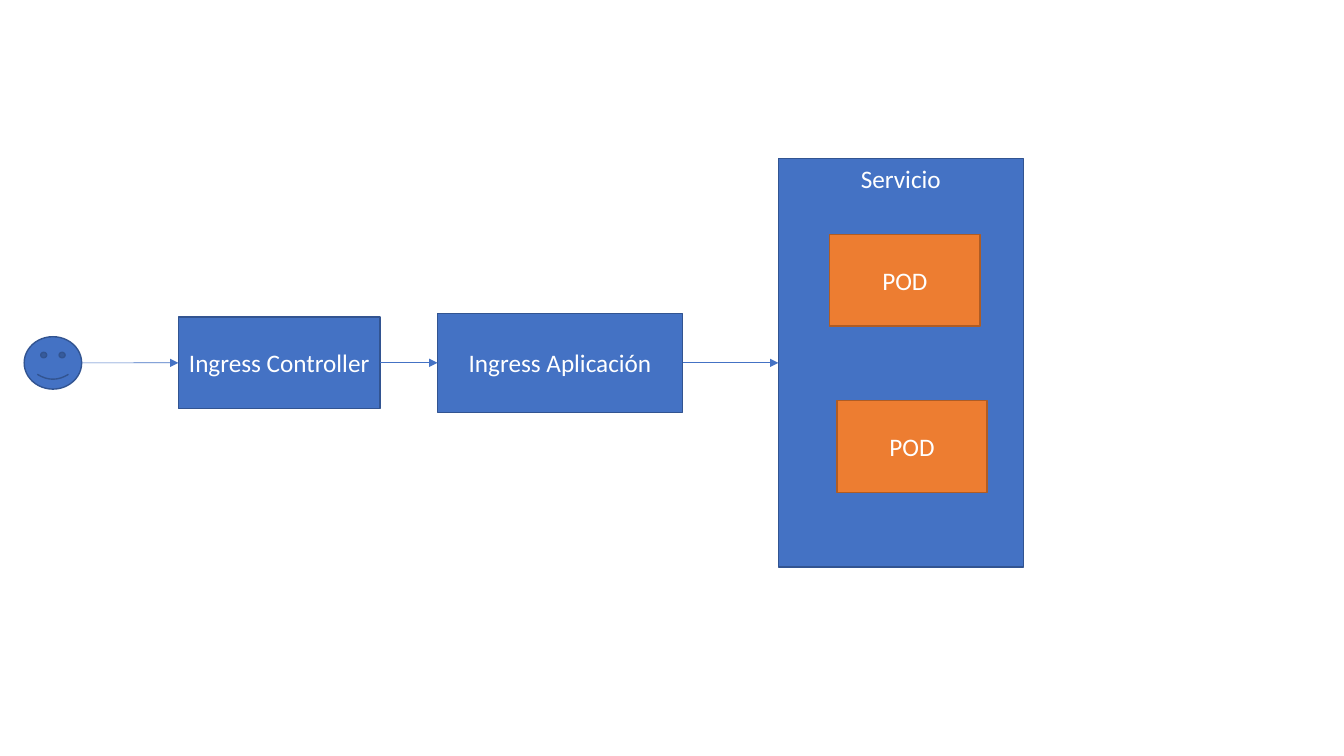
"""Build the ingress-to-pods request flow slide."""
from dataclasses import dataclass

from lxml import etree
from pptx import Presentation
from pptx.dml.color import RGBColor
from pptx.enum.shapes import MSO_CONNECTOR, MSO_SHAPE
from pptx.enum.text import MSO_ANCHOR, PP_ALIGN
from pptx.oxml.ns import qn
from pptx.util import Inches, Pt

RECTANGLE = MSO_SHAPE.RECTANGLE
SMILEY = MSO_SHAPE.SMILEY_FACE
STRAIGHT = MSO_CONNECTOR.STRAIGHT
MIDDLE, TOP = MSO_ANCHOR.MIDDLE, MSO_ANCHOR.TOP
CENTER = PP_ALIGN.CENTER
LEFT_SITE, RIGHT_SITE, SMILEY_RIGHT_SITE = 1, 3, 6
BLANK_LAYOUT = 6

SLIDE_WIDTH, SLIDE_HEIGHT = 13.33, 7.5
FLOW_AXIS = 0.48 * SLIDE_HEIGHT


@dataclass(frozen=True)
class Theme:
    """Colours, font and sizes of the slide."""
    blue: str = "4472C4"
    blue_edge: str = "325491"
    orange: str = "ED7D31"
    orange_edge: str = "AF5C24"
    text: str = "FFFFFF"
    font: str = "Calibri"
    text_size: float = 18
    edge_width: float = 1
    arrow_width: float = 0.5


THEME = Theme()


def write_text(shape, text, *, anchor=MIDDLE, align=CENTER, color=THEME.text,
               size=THEME.text_size):
    """Write one formatted paragraph in a shape."""
    frame = shape.text_frame
    frame.word_wrap = True
    frame.vertical_anchor = anchor
    paragraph = frame.paragraphs[0]
    paragraph.alignment = align
    run = paragraph.add_run()
    run.text = text
    run.font.name = THEME.font
    run.font.size = Pt(size)
    run.font.color.rgb = RGBColor.from_string(color)


def add_node(slide, left, width, height, *, middle=FLOW_AXIS, kind=RECTANGLE,
             fill=THEME.blue, edge=THEME.blue_edge):
    """Add a filled shape centred vertically on the given height."""
    shape = slide.shapes.add_shape(kind, Inches(left), Inches(middle - height / 2),
                                   Inches(width), Inches(height))
    shape.shadow.inherit = False
    shape.fill.solid()
    shape.fill.fore_color.rgb = RGBColor.from_string(fill)
    shape.line.color.rgb = RGBColor.from_string(edge)
    shape.line.width = Pt(THEME.edge_width)
    return shape


def add_box(slide, text, left, width, height, *, anchor=MIDDLE, **node_format):
    """Add a node that carries a label."""
    box = add_node(slide, left, width, height, **node_format)
    write_text(box, text, anchor=anchor)
    return box


def add_arrow(slide, source, target):
    """Join the facing sides of two nodes with an arrow."""
    arrow = slide.shapes.add_connector(STRAIGHT, 0, 0, 0, 0)
    arrow.begin_connect(source, RIGHT_SITE)
    arrow.end_connect(target, LEFT_SITE)
    if source.auto_shape_type == SMILEY:
        # A smiley has eight connection sites, so its right side has another index.
        start = arrow.element.find(".//" + qn("a:stCxn"))
        start.set("idx", str(SMILEY_RIGHT_SITE))
    arrow.line.color.rgb = RGBColor.from_string(THEME.blue)
    arrow.line.width = Pt(THEME.arrow_width)
    properties = arrow.element.spPr
    etree.SubElement(properties.find(qn("a:ln")), qn("a:tailEnd"), type="triangle")
    etree.SubElement(properties, qn("a:effectLst"))


def main():
    """Build and save the slide."""
    presentation = Presentation()
    presentation.slide_width = Inches(SLIDE_WIDTH)
    presentation.slide_height = Inches(SLIDE_HEIGHT)
    slide = presentation.slides.add_slide(presentation.slide_layouts[BLANK_LAYOUT])

    user = add_node(slide, 0.24, 0.57, 0.52, kind=SMILEY)
    controller = add_box(slide, "Ingress Controller", 1.77, 2, 0.91)
    application = add_box(slide, "Ingress Aplicación", 4.34, 2.43, 0.98)
    service = add_box(slide, "Servicio", 7.72, 2.43, 4.05, anchor=TOP)
    for left, middle in ((8.23, 2.78), (8.3, 4.43)):
        add_box(slide, "POD", left, 1.49, 0.91, middle=middle,
                fill=THEME.orange, edge=THEME.orange_edge)

    flow = (user, controller, application, service)
    for source, target in zip(flow, flow[1:]):
        add_arrow(slide, source, target)

    presentation.save("out.pptx")


if __name__ == "__main__":
    main()
